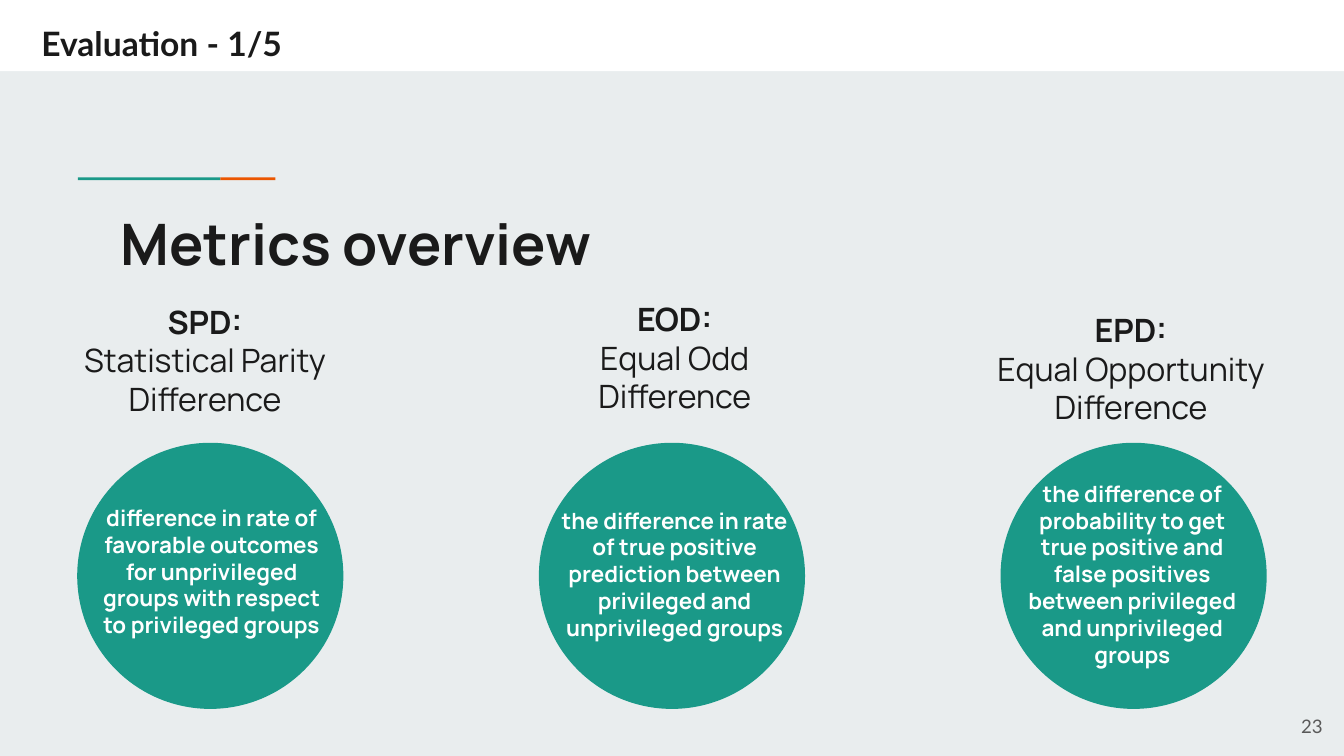
from pptx import Presentation
from pptx.dml.color import RGBColor
from pptx.enum.shapes import MSO_SHAPE as Shape
from pptx.enum.text import MSO_ANCHOR as Anchor, PP_ALIGN as Align
from pptx.util import Inches, Pt

COLORS = {
    "background": "E9EDEE",
    "band": "FFFFFF",
    "teal": "1A9988",
    "orange": "EB5600",
    "ink": "1A1A1A",
    "muted": "595959",
    "light": "FFFFFF",
}

METRICS = [
    {
        "heading": ["SPD:", "Statistical Parity Difference"],
        "heading_box": (-0.13, 0.02, 2.15, 1.03),
        "definition": "difference in rate of favorable outcomes for unprivileged "
                      "groups with respect to privileged groups",
        "definition_box": (0.05, 1.52, 1.89, 1.24),
    },
    {
        "heading": ["EOD:", "Equal Odd Difference"],
        "heading_box": (-0.07, 0, 2.15, 1.03),
        "definition": "the difference in rate of true positive prediction between "
                      "privileged and unprivileged groups",
        "definition_box": (0.06, 1.54, 1.89, 1.24),
    },
    {
        "heading": ["EPD:", "Equal Opportunity Difference"],
        "heading_box": (-0.22, 0.08, 2.37, 1.03),
        "definition": "the difference of probability to get true positive and false "
                      "positives between privileged and unprivileged groups",
        "definition_box": (0.03, 1.34, 1.89, 1.43),
    },
]


def rgb(name):
    return RGBColor.from_string(COLORS[name])


def add_block(slide, kind, box, color):
    block = slide.shapes.add_shape(kind, *map(Inches, box))
    block.shadow.inherit = False
    block.fill.solid()
    block.fill.fore_color.rgb = rgb(color)
    block.line.fill.background()
    return block


def add_text(slide, box, lines, size, color="ink", font="Manrope", bold=(True,),
             align=Align.LEFT, anchor=Anchor.TOP):
    frame = slide.shapes.add_textbox(*map(Inches, box)).text_frame
    frame.word_wrap = True
    frame.vertical_anchor = anchor
    frame.margin_left = frame.margin_right = Inches(0.1)
    frame.margin_top = frame.margin_bottom = Inches(0.1)
    frame.text = "\n".join(lines)
    for paragraph, is_bold in zip(frame.paragraphs, bold):
        paragraph.alignment = align
        paragraph.font.name = font
        paragraph.font.size = Pt(size)
        paragraph.font.bold = is_bold
        paragraph.font.color.rgb = rgb(color)


def add_header(slide, left, top, width, height):
    add_block(slide, Shape.RECTANGLE, (left, top, width, height), "band")
    add_text(slide, (left + 0.21, top + 0.07, 5.85, 0.5), ["Evaluation - 1/5"],
             18, font="Lato")


def add_title(slide, left, top, width, height):
    teal_width, orange_width, thickness = 1.06, 0.41, 0.02
    add_block(slide, Shape.RECTANGLE, (left, top, teal_width, thickness), "teal")
    add_block(slide, Shape.RECTANGLE,
              (left + teal_width, top, orange_width, thickness), "orange")
    add_text(slide, (left + 0.22, top + 0.13, width - 0.22, height - 0.13),
             ["Metrics overview"], 30.6)


def add_metric(slide, left, top, diameter, metric):
    def place(box):
        x, y, width, height = box
        return left + x, top + y, width, height

    circle = add_block(slide, Shape.OVAL,
                       place((0, 1.17, diameter, diameter)), "teal")
    circle.line.color.rgb = rgb("teal")
    circle.line.width = Pt(0.75)
    add_text(slide, place(metric["heading_box"]), metric["heading"], 17.2,
             bold=(True, False), align=Align.CENTER)
    add_text(slide, place(metric["definition_box"]), [metric["definition"]], 12,
             color="light", align=Align.CENTER)


def add_page_number(slide, left, top, width, height):
    add_text(slide, (left, top, width, height), ["23"], 10, color="muted",
             font="Lato", bold=(False,), align=Align.RIGHT, anchor=Anchor.MIDDLE)


def main():
    deck = Presentation()
    deck.slide_width = Inches(10)
    deck.slide_height = deck.slide_width * 9 // 16
    slide = deck.slides.add_slide(deck.slide_layouts[6])
    slide.background.fill.solid()
    slide.background.fill.fore_color.rgb = rgb("background")

    add_header(slide, 0, 0, 10, 0.53)
    add_title(slide, 0.58, 1.32, 8.38, 0.84)
    first_left, pitch = 0.58, 3.435
    for column, metric in enumerate(METRICS):
        add_metric(slide, first_left + column * pitch, 2.13, 1.97, metric)
    add_page_number(slide, 9.34, 5.19, 0.6, 0.43)

    deck.save("out.pptx")


if __name__ == "__main__":
    main()
